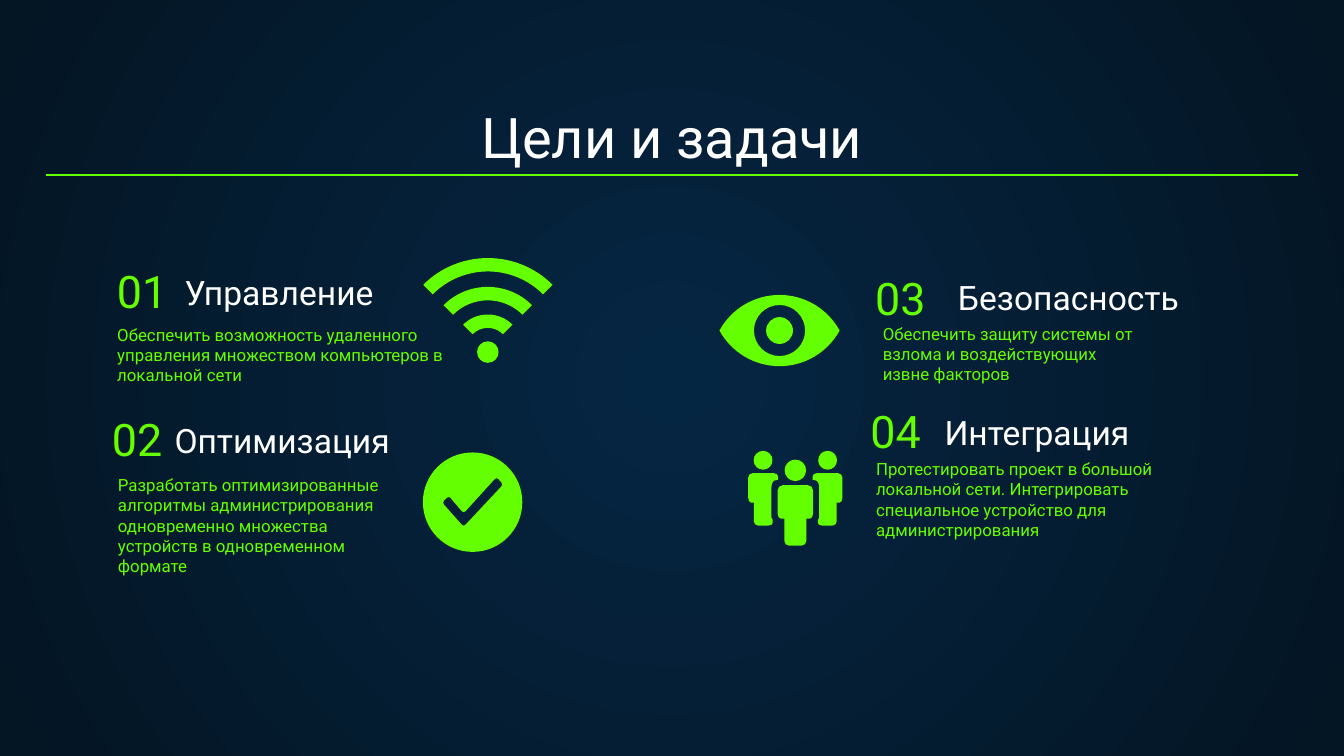
import math
from dataclasses import dataclass

import pptx
import pptx.dml.color
import pptx.enum.shapes
import pptx.enum.text
import pptx.oxml.ns
import pptx.util
from lxml import etree

RGBColor = pptx.dml.color.RGBColor
Align = pptx.enum.text.PP_ALIGN
Anchor = pptx.enum.text.MSO_ANCHOR
qn = pptx.oxml.ns.qn

GREEN = RGBColor(0x64, 0xFF, 0x00)
WHITE = RGBColor(0xFF, 0xFF, 0xFF)
NAVY = RGBColor(0x05, 0x26, 0x43)
DARK_NAVY = RGBColor(0x04, 0x15, 0x23)

# The slide is a grid of 100 columns; rows are as high as columns are wide
CELL = pptx.util.Inches(0.1)
COLUMNS, ROWS = 100, 56.25

Point = tuple[float, float]
Corner = tuple[float, float, float]  # column, row, radius
Segment = list[Point]  # one point for a line, three for a curve
Outline = list[Segment]


@dataclass(frozen=True)
class Box:
    column: float
    row: float
    columns: float
    rows: float


@dataclass(frozen=True)
class Goal:
    number: str
    heading: str
    details: str
    number_box: Box
    heading_box: Box
    details_box: Box
    number_align: Align


GOALS = [
    Goal("01", "Управление",
         "Обеспечить возможность удаленного управления множеством компьютеров в локальной сети",
         Box(7.72, 18, 6.1, 6.6), Box(12.75, 20.4, 22.7, 3.8), Box(7.74, 23.15, 26.3, 8.7), Align.LEFT),
    Goal("02", "Оптимизация",
         "Разработать оптимизированные алгоритмы администрирования одновременно множества "
         "устройств в одновременном формате",
         Box(7.35, 29.05, 7.4, 6.6), Box(12, 31.15, 23.1, 4.1), Box(7.8, 34.34, 22, 9.9), Align.LEFT),
    Goal("03", "Безопасность",
         "Обеспечить защиту системы от взлома и воздействующих извне факторов",
         Box(56.95, 18.55, 12.9, 6.6), Box(70.3, 20.8, 22.7, 3.8), Box(64.7, 23.08, 20.7, 5.5), Align.RIGHT),
    Goal("04", "Интеграция",
         "Протестировать проект в большой локальной сети. Интегрировать специальное "
         "устройство для администрирования",
         Box(56.6, 28.45, 12.9, 6.6), Box(69.3, 30.55, 22.7, 4.1), Box(64.2, 33.15, 24.3, 9.3), Align.RIGHT),
]


def cells(*counts: float) -> list[int]:
    return [round(count * CELL) for count in counts]


def place(box: Box) -> list[int]:
    return cells(box.column, box.row, box.columns, box.rows)


# Text
def write(shape, text: str, size: float, color: RGBColor, align: Align, anchor: Anchor) -> None:
    frame = shape.text_frame
    frame.text = text
    frame_format = dict(word_wrap=True, auto_size=pptx.enum.text.MSO_AUTO_SIZE.NONE, vertical_anchor=anchor)
    frame_format |= dict.fromkeys(("margin_left", "margin_right", "margin_top", "margin_bottom"), CELL)
    for name, value in frame_format.items():
        setattr(frame, name, value)
    paragraph = frame.paragraphs[0]
    paragraph.alignment = align
    for name, value in dict(name="Roboto", size=pptx.util.Pt(size)).items():
        setattr(paragraph.runs[0].font, name, value)
    paragraph.runs[0].font.color.rgb = color


def add_goal(slide, goal: Goal) -> None:
    parts = [
        (goal.details_box, goal.details, 9, GREEN, Align.LEFT, Anchor.TOP),
        (goal.number_box, goal.number, 24, GREEN, goal.number_align, Anchor.BOTTOM),
        (goal.heading_box, goal.heading, 18, WHITE, Align.LEFT, Anchor.BOTTOM),
    ]
    for box, *content in parts:
        write(slide.shapes.add_textbox(*place(box)), *content)


# Outlines
def arc(center: Point, radius: float, start: float, end: float, curves: int = 2) -> Outline:
    turn = math.radians(end - start) / curves
    pull = 4 / 3 * math.tan(turn / 4)

    def on_arc(index: int, lean: float) -> Point:
        angle = math.radians(start) + turn * index
        cos, sin = math.cos(angle), math.sin(angle)
        return center[0] + radius * (cos - lean * sin), center[1] + radius * (sin + lean * cos)

    return [[on_arc(0, 0)]] + [[on_arc(i, pull), on_arc(i + 1, -pull), on_arc(i + 1, 0)]
                               for i in range(curves)]


def circle(center: Point, radius: float) -> Outline:
    return arc(center, radius, 0, 360, curves=4)


def rounded(corners: list[Corner]) -> Outline:
    """Polygon whose corners with a radius become curves."""
    def toward(corner: Point, target: Point, share: float) -> Point:
        return tuple(c + (t - c) * share for c, t in zip(corner, target))

    outline = []
    for i, (x, y, radius) in enumerate(corners):
        corner = (x, y)
        if not radius:
            outline.append([corner])
            continue
        entry, leave = (toward(corner, near, min(0.5, radius / math.dist(corner, near)))
                        for near in (corners[i - 1][:2], corners[(i + 1) % len(corners)][:2]))
        outline += [[entry], [toward(corner, entry, 0.45), toward(corner, leave, 0.45), leave]]
    return outline


def mirrored(corners: list[Corner], axis: float) -> list[Corner]:
    return [(2 * axis - x, y, radius) for x, y, radius in corners]


def bend(shape, segments: list[Segment]) -> None:
    """Join the three lines of each curved segment into one Bézier curve."""
    lines = iter(list(shape.element.iter(qn("a:lnTo"))))
    for segment in segments:
        first, *others = [next(lines) for _ in segment]
        if others:
            curve = etree.Element(qn("a:cubicBezTo"))
            first.getparent().replace(first, curve)
            for line in (first, *others):
                curve.append(line[0])
            for line in others:
                line.getparent().remove(line)


def draw(shapes, *outlines: Outline) -> None:
    builder = shapes.build_freeform(*cells(*outlines[0][0][0]), scale=1.0)
    for i, (start, *segments) in enumerate(outlines):
        if i:
            builder.move_to(*cells(*start[0]))
        builder.add_line_segments([cells(*point) for segment in segments for point in segment], close=True)
    shape = builder.convert_to_shape()
    bend(shape, [segment for outline in outlines for segment in outline[1:]])
    shape.fill.solid()
    shape.fill.fore_color.rgb = GREEN
    shape.line.fill.background()
    shape.shadow.inherit = False


# Icons
def add_wifi(slide) -> None:
    shapes = slide.shapes.add_group_shape().shapes
    center = (36.3, 26)
    for outer in (6.8, 4.65, 2.6):
        draw(shapes, arc(center, outer, 225, 315) + arc(center, outer - 1, 315, 225))
    draw(shapes, circle((36.3, 26.2), 0.8))


def add_check(slide) -> None:
    tick = [(36.95, 35.5, 0.2), (37.45, 36.05, 0.2), (34.5, 39.2, 0.2),
            (32.9, 37.4, 0.2), (33.4, 36.9, 0.2), (34.5, 38.2, 0.2)]
    draw(slide.shapes, rounded(tick), circle((35.17, 37.37), 3.7))


def add_eye(slide) -> None:
    x, y = center = (58, 24.6)
    half_width, half_height = 4.47, 2.65
    radius = (half_width ** 2 + half_height ** 2) / (2 * half_height)
    spread = math.degrees(math.asin(half_width / radius))
    upper = arc((x, y - half_height + radius), radius, 270 - spread, 270 + spread)
    lower = arc((x, y + half_height - radius), radius, 90 - spread, 90 + spread)
    draw(slide.shapes, circle(center, 1), circle(center, 1.9), upper + lower[1:])


def add_team(slide) -> None:
    shapes = slide.shapes.add_group_shape().shapes
    axis = 59.18
    side_body = [(55.67, 35.2, 0.35), (57.9, 35.2, 0.35), (57.9, 35.7, 0), (57.4, 35.8, 0.5),
                 (57.4, 38.5, 0), (57.5, 38.7, 0), (57.5, 39.1, 0.3), (56.1, 39.1, 0.3),
                 (56.1, 37.4, 0), (55.67, 37.4, 0.4)]
    half_body = [(60.5, 36.1, 0.4), (60.5, 38.6, 0.4), (60, 38.6, 0), (60, 40.6, 0.35)]
    for body in (side_body, mirrored(side_body, axis), half_body + mirrored(half_body, axis)[::-1]):
        draw(shapes, rounded(body))
    for column, row, radius in ((-2.4, 34.25, 0.7), (2.4, 34.25, 0.7), (0, 35, 0.8)):
        draw(shapes, circle((axis + column, row), radius))


# Slide parts
def set_background(slide) -> None:
    fill = slide.background.fill
    fill.gradient()
    for stop, color in zip(fill.gradient_stops, (NAVY, DARK_NAVY)):
        stop.color.rgb = color
    gradient = slide.element.find(".//" + qn("a:gradFill"))
    radial = etree.Element(qn("a:path"), {"path": "circle"})
    etree.SubElement(radial, qn("a:fillToRect"), dict.fromkeys("ltrb", "50000"))
    gradient.replace(gradient.find(qn("a:lin")), radial)


def add_title(slide) -> None:
    title = slide.shapes.title
    for name, value in zip(("left", "top", "width", "height"), place(Box(3.4, 7.05, 93.2, 6.6))):
        setattr(title, name, value)
    write(title, "Цели и задачи", 30, WHITE, Align.CENTER, Anchor.BOTTOM)
    rule = slide.shapes.add_connector(pptx.enum.shapes.MSO_CONNECTOR.STRAIGHT,
                                      *cells(3.4, 13.02, COLUMNS - 3.4, 13.02))
    rule.line.color.rgb = GREEN
    rule.line.width = pptx.util.Pt(0.75)
    etree.SubElement(rule.element.spPr, qn("a:effectLst"))


def main() -> None:
    deck = pptx.Presentation()
    deck.slide_width, deck.slide_height = cells(COLUMNS, ROWS)
    slide = deck.slides.add_slide(deck.slide_layouts[5])
    set_background(slide)
    add_title(slide)
    for goal in GOALS:
        add_goal(slide, goal)
    for add_icon in (add_check, add_team, add_eye, add_wifi):
        add_icon(slide)
    deck.save("out.pptx")


if __name__ == "__main__":
    main()
